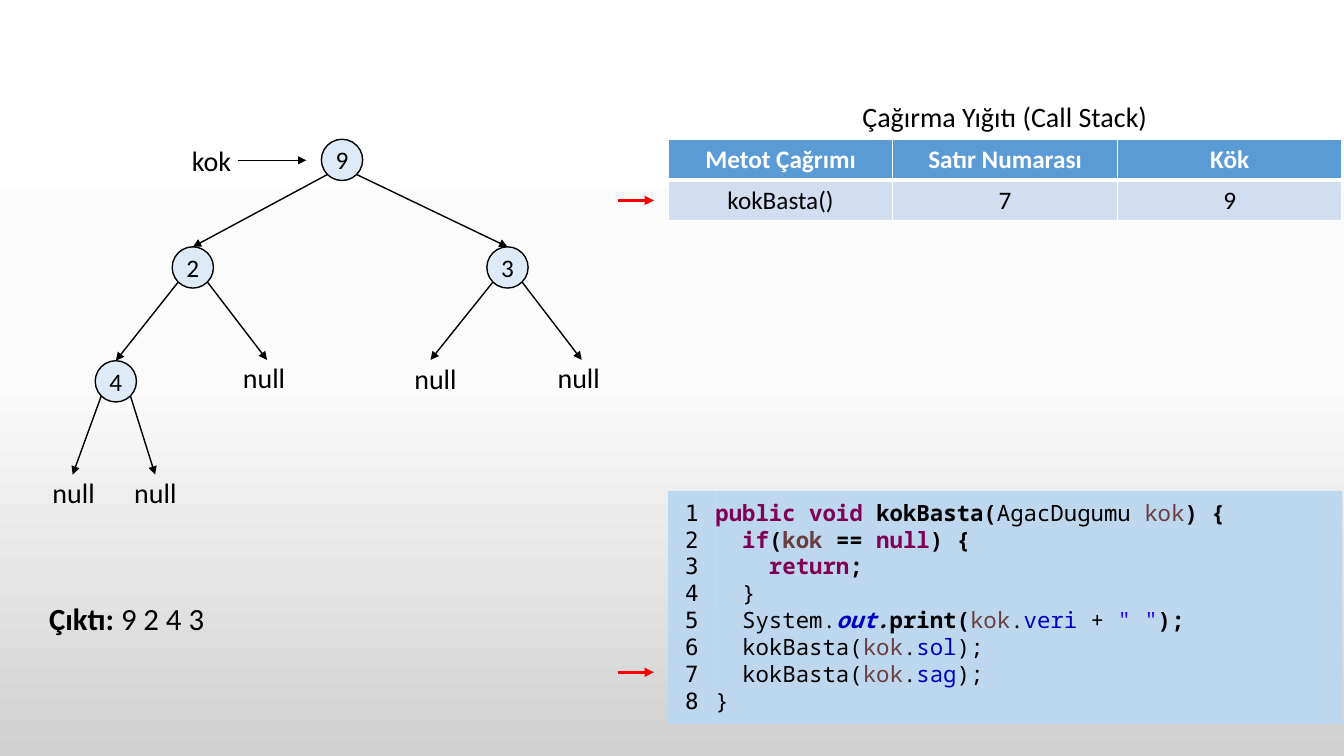
from dataclasses import dataclass
from math import sqrt
from copy import deepcopy
from lxml.etree import SubElement as Sub, Element as Elem
from pptx import Presentation as Deck
from pptx.dml.color import RGBColor as Rgb
from pptx.enum.shapes import MSO_CONNECTOR as Link, MSO_SHAPE as Kind
from pptx.enum.text import MSO_ANCHOR as Anchor, PP_ALIGN as Align
from pptx.oxml.ns import qn
from pptx.util import Cm, Pt

HUES = {
    "black": "000000", "white": "FFFFFF", "red": "FF0000",
    "node": "DEEBF7", "code": "BDD7EE", "head": "5B9BD5", "row": "D2DEEF",
    "key": "7F0055", "name": "6A3E3E", "field": "0000C0", "quote": "2A00FF",
    "mid": "FBFBFB", "low": "D1D1D1",
}
SIZE = 1.04
REACH = SIZE / 2 / sqrt(2)


@dataclass
class Run:
    text: str
    hue: str = "black"
    bold: bool = False
    slant: bool = False


@dataclass
class Node:
    text: str
    x: float
    y: float


@dataclass
class Edge:
    node: Node
    side: int
    x: float
    y: float


@dataclass
class Label:
    text: str
    x: float
    y: float
    width: float = 1.83
    height: float = 1.27


def rgb(hue: str) -> Rgb:
    return Rgb.from_string(HUES[hue])


def write(frame, lines: list[list[Run]], size: float = 20, font: str = "Calibri",
          align=Align.CENTER, pitch=None) -> None:
    for i, runs in enumerate(lines):
        para = frame.add_paragraph() if i else frame.paragraphs[0]
        para.alignment = align
        if pitch:
            para.line_spacing = Pt(pitch)
        for item in runs:
            run = para.add_run()
            run.text = item.text
            run.font.name, run.font.size = font, Pt(size)
            run.font.bold, run.font.italic = item.bold, item.slant
            run.font.color.rgb = rgb(item.hue)


def arrow(slide, x1: float, y1: float, x2: float, y2: float,
          hue: str = "black", width: float = 1) -> None:
    link = slide.shapes.add_connector(Link.STRAIGHT, Cm(x1), Cm(y1), Cm(x2), Cm(y2))
    link.line.color.rgb = rgb(hue)
    link.line.width = Pt(width)
    Sub(link.line._get_or_add_ln(), qn("a:tailEnd"), type="triangle")
    Sub(link._element.spPr, qn("a:effectLst"))


def shape(slide, kind, x: float, y: float, width: float, height: float, hue: str):
    form = slide.shapes.add_shape(kind, Cm(x), Cm(y), Cm(width), Cm(height))
    form.shadow.inherit = False
    form.fill.solid()
    form.fill.fore_color.rgb = rgb(hue)
    form.line.fill.background()
    form.text_frame.margin_left = form.text_frame.margin_right = 0
    return form


def circle(slide, node: Node) -> None:
    form = shape(slide, Kind.OVAL, node.x - SIZE / 2, node.y - SIZE / 2, SIZE, SIZE, "node")
    form.line.color.rgb = rgb("black")
    form.line.width = Pt(1)
    form.text_frame.vertical_anchor = Anchor.MIDDLE
    write(form.text_frame, [[Run(node.text)]], size=18)


def panel(slide, x: float, width: float, lines: list[list[Run]], font: str, align) -> None:
    form = shape(slide, Kind.RECTANGLE, x, 12.37, width, 5.87, "code")
    frame = form.text_frame
    frame.margin_top = frame.margin_bottom = Cm(0.2)
    frame.vertical_anchor = Anchor.TOP
    frame.word_wrap = True
    write(frame, lines, size=16, font=font, align=align, pitch=19.2)


def label(slide, item: Label, runs=None, **form) -> None:
    box = slide.shapes.add_textbox(Cm(item.x), Cm(item.y), Cm(item.width), Cm(item.height))
    box.text_frame.word_wrap = False
    write(box.text_frame, [runs or [Run(item.text)]], **form)


def border(cell, under: float) -> None:
    props = cell._tc.get_or_add_tcPr()
    for i, (side, width) in enumerate([("L", 1), ("R", 1), ("T", 1), ("B", under)]):
        edge = Elem(qn(f"a:ln{side}"), w=str(Pt(width)))
        Sub(Sub(edge, qn("a:solidFill")), qn("a:srgbClr"), val=HUES["white"])
        props.insert(i, edge)


def stack(slide, rows: list[list[str]]) -> None:
    table = slide.shapes.add_table(2, 3, Cm(16.84), Cm(3.51), Cm(16.98), Cm(2.06)).table
    for r, texts in enumerate(rows):
        top = r == 0
        for c, text in enumerate(texts):
            cell = table.cell(r, c)
            cell.fill.solid()
            cell.fill.fore_color.rgb = rgb("head" if top else "row")
            border(cell, 3 if top else 1)
            write(cell.text_frame, [[Run(text, "white" if top else "black", top)]], size=18)


def shade(slide) -> None:
    fill = slide.background.fill
    fill.gradient()
    fill.gradient_angle = 270
    stops = slide.element.xpath(".//a:gsLst")[0]
    stops.insert(1, deepcopy(stops[0]))
    for stop, place, hue in zip(fill.gradient_stops, (0, 0.5, 1), ("white", "mid", "low")):
        stop.position = place
        stop.color.rgb = rgb(hue)


def call(field: str) -> list[Run]:
    return [Run("  kokBasta("), Run("kok", "name"), Run("."), Run(field, "field"), Run(");")]


ROOT, LEFT, RIGHT, LEAF = (Node("9", 8.62, 4.03), Node("2", 4.86, 6.74),
                           Node("3", 12.79, 6.74), Node("4", 2.92, 9.61))
EDGES = [Edge(node, side, kid.x, kid.y - SIZE / 2)
         for node, side, kid in [(ROOT, -1, LEFT), (ROOT, 1, RIGHT), (LEFT, -1, LEAF)]]
EDGES += [Edge(LEAF, -1, 1.83, 11.96), Edge(LEAF, 1, 3.91, 11.96),
          Edge(LEFT, 1, 6.73, 9.07), Edge(RIGHT, -1, 10.85, 9.07),
          Edge(RIGHT, 1, 14.66, 9.07)]
LABELS = [Label("null", x, y) for x, y in [(0.94, 11.86), (3, 11.86), (5.74, 8.97),
                                           (10.06, 8.99), (13.67, 8.97)]]
LABELS += [Label("kok", 4.57, 3.48, 1.52, 1.12),
           Label("Çağırma Yığıtı (Call Stack)", 21.44, 2.39, 7.77, 1.12)]
CODE = [
    [Run("public void ", "key", True), Run("kokBasta(", bold=True), Run("AgacDugumu "),
     Run("kok", "name"), Run(") {", bold=True)],
    [Run("  if", "key", True), Run("(", bold=True), Run("kok ", "name", True),
     Run("== ", bold=True), Run("null", "key", True), Run(") {", bold=True)],
    [Run("    return", "key", True), Run(";", bold=True)],
    [Run("  }")],
    [Run("  System."), Run("out", "field", True, True), Run(".", "black", True, True),
     Run("print(", bold=True), Run("kok", "name"), Run("."), Run("veri ", "field"),
     Run("+ "), Run('" "', "quote"), Run(");", bold=True)],
    call("sol"),
    call("sag"),
    [Run("}")],
]


def main() -> None:
    deck = Deck()
    deck.slide_width, deck.slide_height = Cm(33.87), Cm(19.05)
    slide = deck.slides.add_slide(deck.slide_layouts[6])
    shade(slide)
    count = [[Run(str(i + 1))] for i in range(len(CODE))]
    panel(slide, 16.84, 1.19, count, "DejaVu Sans Mono", Align.CENTER)
    panel(slide, 18.03, 15.8, CODE, "Noto Sans Mono", Align.LEFT)
    stack(slide, [["Metot Çağrımı", "Satır Numarası", "Kök"], ["kokBasta()", "7", "9"]])
    for node in (ROOT, LEFT, RIGHT, LEAF):
        circle(slide, node)
    for edge in EDGES:
        arrow(slide, edge.node.x + edge.side * REACH, edge.node.y + REACH, edge.x, edge.y)
    for item in LABELS:
        label(slide, item)
    arrow(slide, 5.99, 4.04, 7.72, 4.04)
    for y in (5.05, 16.94):
        arrow(slide, 15.57, y, 16.48, y, "red", 2.25)
    label(slide, Label("", 0.99, 14.99, 4.47, 1.19),
          [Run("Çıktı:", bold=True), Run(" 9 2 4 3")], size=22, align=Align.LEFT)
    deck.save("out.pptx")


if __name__ == "__main__":
    main()
